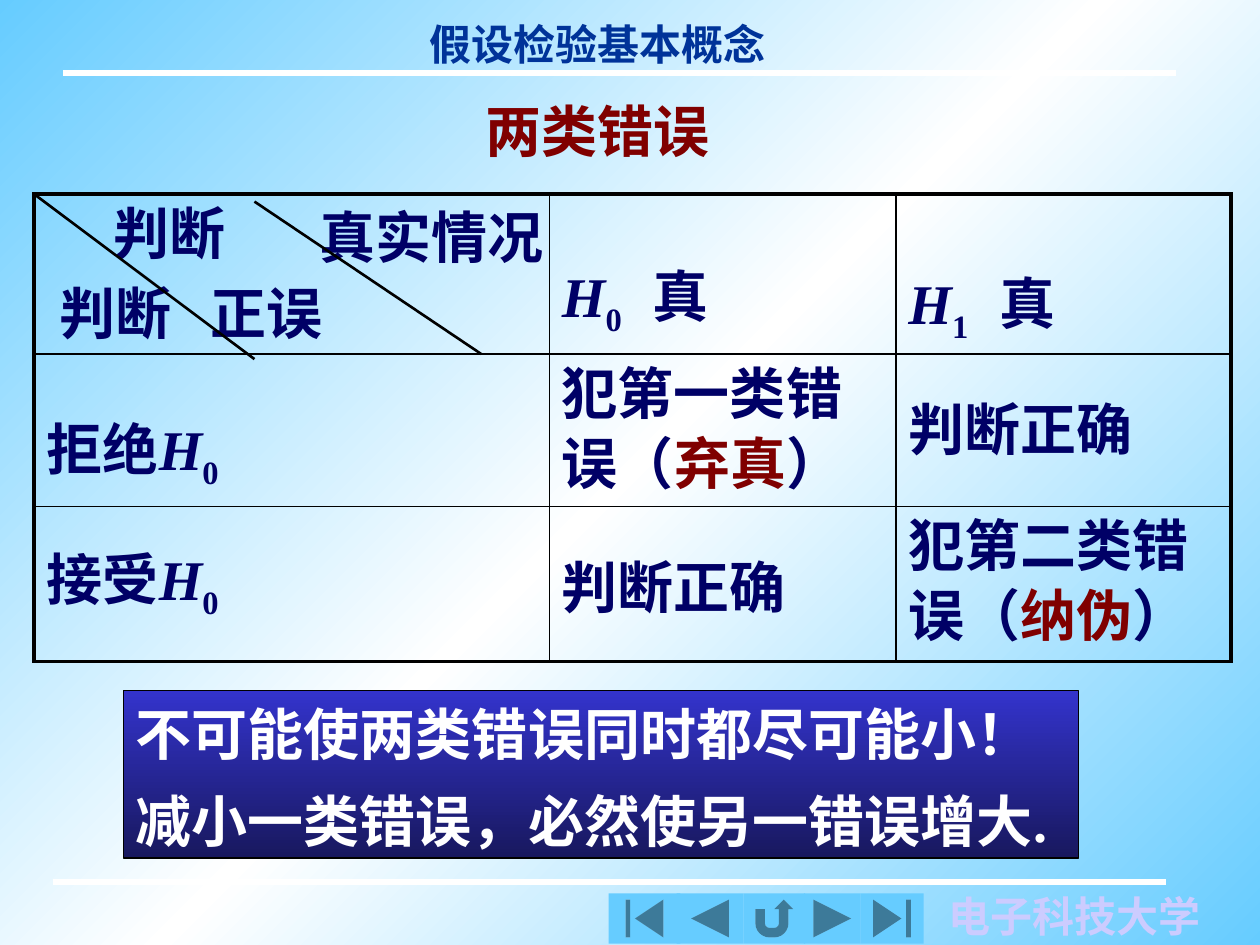
from copy import deepcopy
from dataclasses import dataclass

from lxml import etree
from pptx import Presentation
from pptx.dml.color import RGBColor as RGB
from pptx.enum.shapes import MSO_CONNECTOR as Link, MSO_SHAPE as Shape
from pptx.enum.text import MSO_ANCHOR as Anchor, PP_ALIGN as Align
from pptx.oxml.ns import qn
from pptx.util import Inches, Pt


@dataclass
class Theme:
    sky: RGB = RGB(0x66, 0xCC, 0xFF)
    white: RGB = RGB(0xFF, 0xFF, 0xFF)
    black: RGB = RGB(0, 0, 0)
    navy: RGB = RGB(0, 0, 0x66)
    red: RGB = RGB(0x80, 0, 0)
    blue: RGB = RGB(0, 0x33, 0x99)
    lilac: RGB = RGB(0xCC, 0xCC, 0xFF)
    bar_top: RGB = RGB(0x33, 0x33, 0xCC)
    bar_end: RGB = RGB(0x18, 0x18, 0x5E)
    font: str = "Times New Roman"
    big: int = 32
    small: int = 24


theme = Theme()


def write(para, words, color, height, size=theme.big):
    """Fill a paragraph: H is italic, its index is lowered, error names are red."""
    para.line_spacing = Pt(height)
    for word in words:
        run = para.add_run()
        run.text = word
        font = run.font
        font.name, font.size, font.bold = theme.font, Pt(size), True
        font.italic = word == "H"
        font.color.rgb = theme.red if word in ("弃真", "纳伪") else color
        if word in ("0", "1"):
            font._element.set("baseline", "-25000")


def rule(start, end, color, width):
    """Draw a straight line between two points in inches."""
    line = slide.shapes.add_connector(
        Link.STRAIGHT, *[Inches(n) for n in (*start, *end)])
    line.line.color.rgb = color
    line.line.width = Pt(width)
    etree.SubElement(line._element.spPr, qn("a:effectLst"))


prs = Presentation()
prs.slide_width, prs.slide_height = Inches(10), Inches(7.5)
slide = prs.slides.add_slide(prs.slide_layouts[5])

# Background: sky to white and back
back = slide.background.fill
back.gradient()
back.gradient_angle = 315
for stop in back.gradient_stops:
    stop.color.rgb = theme.sky
stops = slide.element.find(".//" + qn("a:gsLst"))
stops.insert(1, deepcopy(stops[0]))
mid = back.gradient_stops[1]
mid.position = 0.5
mid.color.rgb = theme.white

# Header and footer
rule((0.42, 7), (9.25, 7), theme.white, 3)
rule((0.5, 0.58), (9.33, 0.58), theme.white, 3)
for text, left, top, width, color, align in (
    ("假设检验基本概念", 3.08, 0.08, 3.33, theme.blue, Align.CENTER),
    ("电子科技大学", 7.43, 7, 2.2, theme.lilac, Align.LEFT),
):
    box = slide.shapes.add_textbox(
        Inches(left), Inches(top), Inches(width), Inches(0.5))
    box.text_frame.word_wrap = True
    para = box.text_frame.paragraphs[0]
    para.alignment = align
    write(para, [text], color, 30, theme.small)

# Navigation buttons
for kind, left, width in (
    (Shape.ACTION_BUTTON_BEGINNING, 4.83, 0.57),
    (Shape.ACTION_BUTTON_BACK_OR_PREVIOUS, 5.37, 0.53),
    (Shape.ACTION_BUTTON_RETURN, 5.9, 0.49),
    (Shape.ACTION_BUTTON_FORWARD_OR_NEXT, 6.38, 0.45),
    (Shape.ACTION_BUTTON_END, 6.83, 0.5),
):
    button = slide.shapes.add_shape(
        kind, Inches(left), Inches(7.09), Inches(width), Inches(0.4))
    button.shadow.inherit = False
    button.fill.solid()
    button.fill.fore_color.rgb = theme.sky
    button.line.fill.background()

# Title
title = slide.shapes.title
title.left, title.top = Inches(3.03), Inches(0.68)
title.width, title.height = Inches(3.42), Inches(0.75)
title.text_frame.vertical_anchor = Anchor.TOP
para = title.text_frame.paragraphs[0]
para.alignment = Align.CENTER
write(para, ["两类错误"], theme.red, 41)

# Table: each cell holds its words and line height
left, top = 0.27, 1.54
cols, rows = (4.09, 2.75, 2.66), (1.27, 1.21, 1.23)
cells = (
    ((["判断"], 40), (["H", "0", "\t真"], 79), (["H", "1", "\t真"], 83)),
    ((["拒绝", "H", "0"], 75), (["犯第一类错误（", "弃真", "）"], 40),
     (["判断正确"], 61)),
    ((["接受", "H", "0"], 62), (["判断正确"], 64),
     (["犯第二类错误（", "纳伪", "）"], 40)),
)
frame = slide.shapes.add_table(
    3, 3, Inches(left), Inches(top), Inches(sum(cols)), Inches(sum(rows)))
table = frame.table
table.first_row = table.horz_banding = False
for col, width in zip(table.columns, cols):
    col.width = Inches(width)
for row, height in zip(table.rows, rows):
    row.height = Inches(height)

for r, line in enumerate(cells):
    for c, (words, height) in enumerate(line):
        cell = table.cell(r, c)
        cell.fill.background()
        cell.margin_top, cell.margin_bottom = Inches(0.05), 0
        write(cell.text_frame.paragraphs[0], words, theme.navy, height)
        # Thick outer frame, thin inner grid
        edges = {"lnL": c == 0, "lnR": c == 2, "lnT": r == 0, "lnB": r == 2}
        for n, (name, outer) in enumerate(edges.items()):
            edge = etree.Element(qn("a:" + name), w=str(Pt(2.25 if outer else 1)))
            fill = etree.SubElement(edge, qn("a:solidFill"))
            etree.SubElement(fill, qn("a:srgbClr"), val=str(theme.black))
            cell._tc.tcPr.insert(n, edge)

# Corner cell: second line and indents
corner = table.cell(0, 0).text_frame
para = corner.add_paragraph()
para.space_before = Pt(6)
write(para, ["判断\t正误"], theme.navy, 40)
for para, indent in zip(corner.paragraphs, (0.53, 0.1)):
    para._p.get_or_add_pPr().set("marL", str(Inches(indent)))

# Tab stops in the first row
for para, place in (
    (corner.paragraphs[1], 1.2),
    (table.cell(0, 1).text_frame.paragraphs[0], 0.72),
    (table.cell(0, 2).text_frame.paragraphs[0], 0.72),
):
    tabs = etree.SubElement(para._p.get_or_add_pPr(), qn("a:tabLst"))
    etree.SubElement(tabs, qn("a:tab"), pos=str(Inches(place)), algn="l")

# Corner label and diagonals
label = slide.shapes.add_textbox(
    Inches(2.44), Inches(top), Inches(2.08), Inches(0.64))
label.text_frame.word_wrap = True
write(label.text_frame.paragraphs[0], ["真实情况"], theme.navy, 40)
rule((left, top), (2.02, 2.85), theme.black, 1.5)
rule((2.02, 1.6), (3.82, 2.81), theme.black, 1.5)

# Conclusion bar
bar = slide.shapes.add_shape(
    Shape.RECTANGLE, Inches(0.98), Inches(5.48), Inches(7.58), Inches(1.33))
bar.shadow.inherit = False
bar.fill.gradient()
bar.fill.gradient_angle = 270
for stop, color in zip(bar.fill.gradient_stops, (theme.bar_top, theme.bar_end)):
    stop.color.rgb = color
bar.line.color.rgb = theme.black
bar.line.width = Pt(0.75)
note = bar.text_frame
note.word_wrap = True
note.vertical_anchor = Anchor.TOP
for n, (text, height) in enumerate((
    ("不可能使两类错误同时都尽可能小！", 40),
    ("减小一类错误，必然使另一错误增大.", 50),
)):
    para = note.add_paragraph() if n else note.paragraphs[0]
    para.alignment = Align.LEFT
    write(para, [text], theme.white, height)

prs.save("out.pptx")
